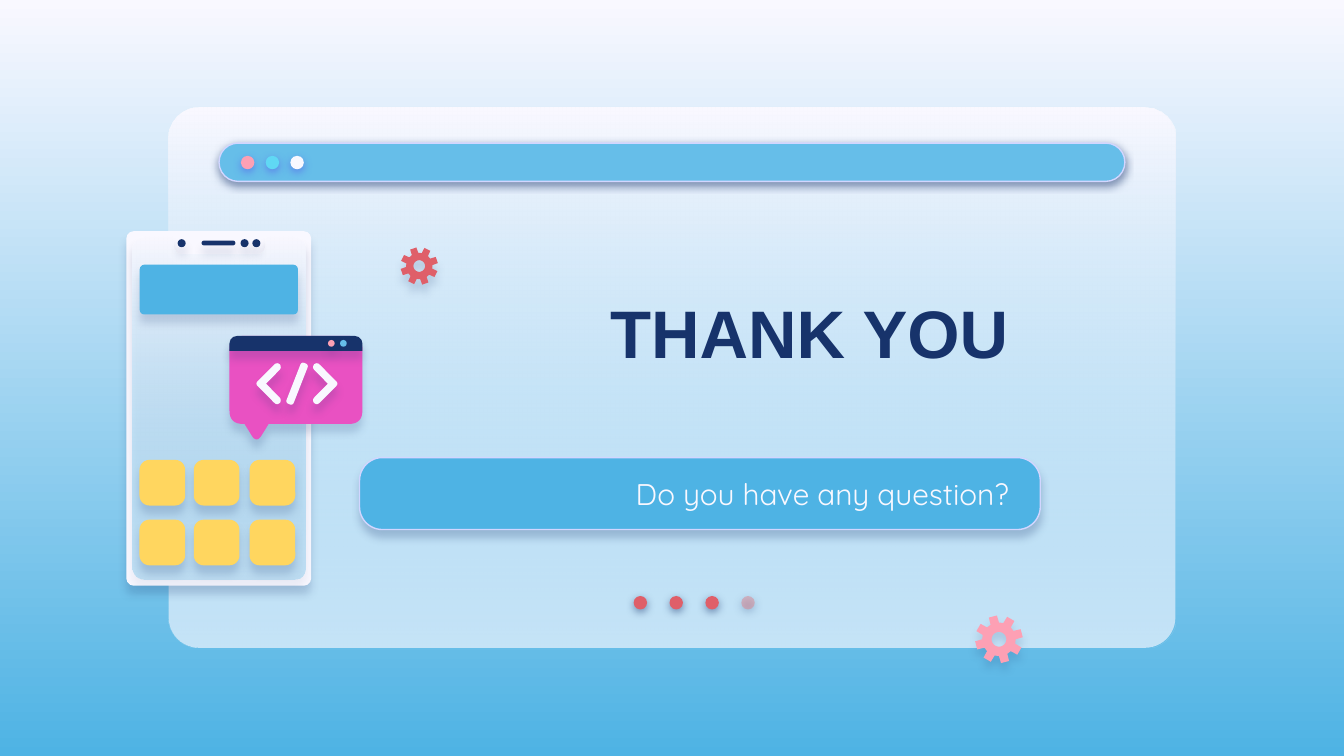
from math import cos, hypot, radians, sin

from lxml.etree import SubElement
from pptx import Presentation
from pptx.dml.color import RGBColor
from pptx.enum.shapes import MSO_SHAPE as SHAPE
from pptx.enum.text import MSO_ANCHOR as ANCHOR, PP_ALIGN as ALIGN
from pptx.oxml.ns import qn
from pptx.util import Inches, Pt

NAVY, WHITE, SKY, BLUE = "17336B", "F9F8FF", "66BEE9", "4EB3E4"
PINK, RED, YELLOW, MAGENTA = "FDA0B4", "DF5F69", "FFD65F", "E951C2"
SOFT = (NAVY, 16, 4.5)  # shadow: colour, opacity in percent, distance in points

presentation = Presentation()
presentation.slide_width = Inches(10)
presentation.slide_height = presentation.slide_width * 9 // 16
slide = presentation.slides.add_slide(presentation.slide_layouts[6])
shapes = slide.shapes
cell = presentation.slide_width // 100  # square grid, 100 columns wide


def paint(shape, *colors, alpha=100, line=None, shadow=None):
    """Fill with one colour or a downward gradient; alpha is for the last colour."""
    fill = shape.fill
    if len(colors) == 1:
        fill.solid()
        fill.fore_color.rgb = RGBColor.from_string(colors[0])
    else:
        fill.gradient()
        fill.gradient_angle = 270
        for stop, color in zip(fill.gradient_stops, colors):
            stop.color.rgb = RGBColor.from_string(color)
    if shape is slide.background:
        return
    properties = shape._element.spPr
    if alpha < 100:
        last = list(properties.iter(qn("a:srgbClr")))[-1]
        SubElement(last, qn("a:alpha"), val=str(alpha * 1000))
    if line:
        shape.line.color.rgb = RGBColor.from_string(line)
        shape.line.width = Pt(0.75)
    else:
        shape.line.fill.background()
    shape.shadow.inherit = False
    if shadow:
        color, opacity, distance = shadow
        outer = SubElement(properties.find(qn("a:effectLst")), qn("a:outerShdw"),
                           blurRad=str(Pt(4.5)), dist=str(Pt(distance)),
                           dir="5400000", algn="bl", rotWithShape="0")
        tint = SubElement(outer, qn("a:srgbClr"), val=color)
        SubElement(tint, qn("a:alpha"), val=str(opacity * 1000))


def write(text, box, *, font, size, color, bold=False):
    frame = shapes.add_textbox(*(round(v * cell) for v in box)).text_frame
    frame.word_wrap = True
    frame.vertical_anchor = ANCHOR.MIDDLE
    frame.margin_left = frame.margin_right = cell
    frame.margin_top = frame.margin_bottom = cell
    paragraph = frame.paragraphs[0]
    paragraph.alignment = ALIGN.RIGHT
    run = paragraph.add_run()
    run.text = text
    run.font.name, run.font.size, run.font.bold = font, Pt(size), bold
    run.font.color.rgb = RGBColor.from_string(color)


paint(slide.background, WHITE, BLUE)

# Parts in drawing order: preset, box in cells, corner share, colours, format
ROUND, OVAL = SHAPE.ROUNDED_RECTANGLE, SHAPE.OVAL
panel = (12.55, 8, 74.9, 40.2)
parts = [
    (ROUND, panel, 0.056, [WHITE], {}),
    (ROUND, panel, 0.056, [WHITE, SKY], {"alpha": 35}),
    (ROUND, (16.3, 10.65, 67.4, 2.85), 0.5, [SKY],
     {"line": "D2D6FF", "shadow": (NAVY, 50, 1.5)}),
]
for i, color in enumerate([PINK, "60D8F4", WHITE]):
    parts.append((OVAL, (17.93 + 1.84 * i, 11.6, 1, 1), None, [color],
                  {"shadow": ("5352EE", 50, 1.5)}))
for i in range(4):
    parts.append((OVAL, (47.15 + 2.67 * i, 44.35, 1, 1), None,
                  [RED if i < 3 else "E27B83"],
                  {"alpha": 100 if i < 3 else 44, "shadow": (NAVY, 50, 1.5)}))
parts.append((ROUND, (26.75, 34.05, 50.65, 5.35), 0.317, [BLUE],
              {"line": "D2D6FF", "shadow": (NAVY, 24, 3.8)}))

# Phone; outlines are lists of corners: x, y, corner cut
phone_face = [(9.83, 17.6, 1.1), (12.9, 17.6, 0), (12.9, 18.9, 0.7),
              (19.7, 18.9, 0.7), (19.7, 17.6, 0), (22.75, 17.6, 1.1),
              (22.75, 43.13, 1.1), (9.83, 43.13, 1.1)]
parts += [
    (ROUND, (9.4, 17.2, 13.75, 26.38), 0.04, [WHITE], {"shadow": SOFT}),
    (None, phone_face, None, [WHITE, SKY], {"alpha": 35, "shadow": SOFT}),
    (ROUND, (15, 17.9, 2.52, 0.36), 0.5, [NAVY], {"shadow": SOFT}),
    (ROUND, (10.4, 19.7, 11.77, 3.7), 0.09, [BLUE], {"shadow": SOFT}),
]
for left in (13.22, 17.9, 18.78):
    parts.append((OVAL, (left, 17.8, 0.6, 0.6), None, [NAVY], {"shadow": SOFT}))
for top in (34.22, 38.67):
    for left in (10.38, 14.42, 18.57):
        parts.append((ROUND, (left, top, 3.4, 3.4), 0.22, [YELLOW], {"shadow": SOFT}))

# Code bubble
bubble = [(17.08, 25, 1), (26.97, 25, 1), (26.97, 31.55, 1), (20, 31.55, 0),
          (19.1, 33, 0.7), (18.2, 31.55, 0), (17.08, 31.55, 1)]
chevron = [(20.64, 26.9, 0.35), (21, 27.33, 0.3), (19.8, 28.55, 0),
           (21, 29.77, 0.3), (20.64, 30.2, 0.35), (19, 28.55, 0.25)]
slash = [(22.44, 26.92, 0.25), (22.97, 27.14, 0.25),
         (21.78, 30.18, 0.25), (21.25, 29.96, 0.25)]
parts += [
    (None, bubble, None, [MAGENTA], {"shadow": SOFT}),
    (SHAPE.ROUND_2_SAME_RECTANGLE, (17.08, 25, 9.89, 1.1), 0.5, [NAVY],
     {"shadow": SOFT}),
    (OVAL, (24.4, 25.3, 0.5, 0.5), None, [PINK], {"shadow": SOFT}),
    (OVAL, (25.3, 25.3, 0.5, 0.5), None, [SKY], {}),
]
for glyph in (chevron, slash, [(44.2 - x, y, cut) for x, y, cut in chevron]):
    parts.append((None, glyph, None, [WHITE], {"shadow": SOFT}))

# Draw all parts, rounding each outline corner with a quadratic curve
for preset, geometry, corner, colors, style in parts:
    if preset is not None:
        shape = shapes.add_shape(preset, *(round(v * cell) for v in geometry))
        if corner is not None:
            shape.adjustments[0] = corner
    else:
        points = []
        for i, (x, y, cut) in enumerate(geometry):
            ends = []
            for near_x, near_y, _ in (geometry[i - 1], geometry[(i + 1) % len(geometry)]):
                share = cut / hypot(near_x - x, near_y - y)
                ends.append((x + (near_x - x) * share, y + (near_y - y) * share))
            (ax, ay), (bx, by) = ends
            for t in ([step / 8 for step in range(9)] if cut else [0]):
                points.append(((1 - t) ** 2 * ax + 2 * t * (1 - t) * x + t * t * bx,
                               (1 - t) ** 2 * ay + 2 * t * (1 - t) * y + t * t * by))
        points = [(x * cell, y * cell) for x, y in points]
        builder = shapes.build_freeform(*points[0])
        builder.add_line_segments(points[1:], close=True)
        shape = builder.convert_to_shape()
    paint(shape, *colors, **style)

# Gears: eight teeth and a round hole
for center_x, center_y, radius, turn, color, shadow in (
        (31.2, 19.8, 1.4, -19, RED, SOFT),
        (74.33, 47.57, 1.78, -15, PINK, (NAVY, 15, 3.8))):
    rim = [(turn + 45 * tooth + offset, share) for tooth in range(8)
           for offset, share in ((-15, 0.7), (-10, 1), (10, 1), (15, 0.7))]
    hole = [(-angle, 0.31) for angle in range(0, 360, 15)]
    rim, hole = [[((center_x + radius * share * sin(radians(angle))) * cell,
                   (center_y - radius * share * cos(radians(angle))) * cell)
                  for angle, share in ring] for ring in (rim, hole)]
    builder = shapes.build_freeform(*rim[0])
    builder.add_line_segments(rim[1:], close=True)
    builder.move_to(*hole[0])
    builder.add_line_segments(hole[1:], close=True)
    paint(builder.convert_to_shape(), color, shadow=shadow)

# Text
write("THANK YOU", (29.8, 17.8, 46.2, 13.7), font="Arial", size=36, color=NAVY, bold=True)
write("Do you have any question?", (29.85, 34.15, 46.2, 5.2),
      font="Quicksand", size=16, color=WHITE)

presentation.save("out.pptx")
